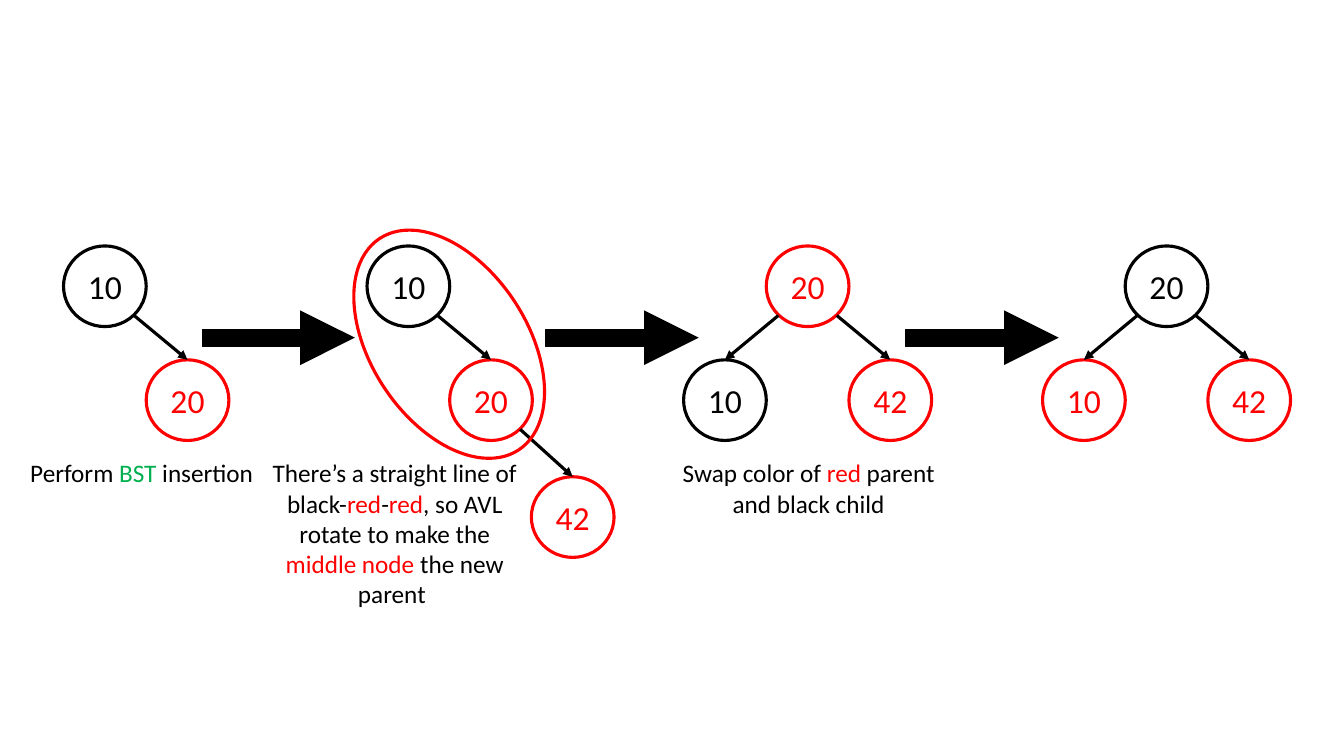
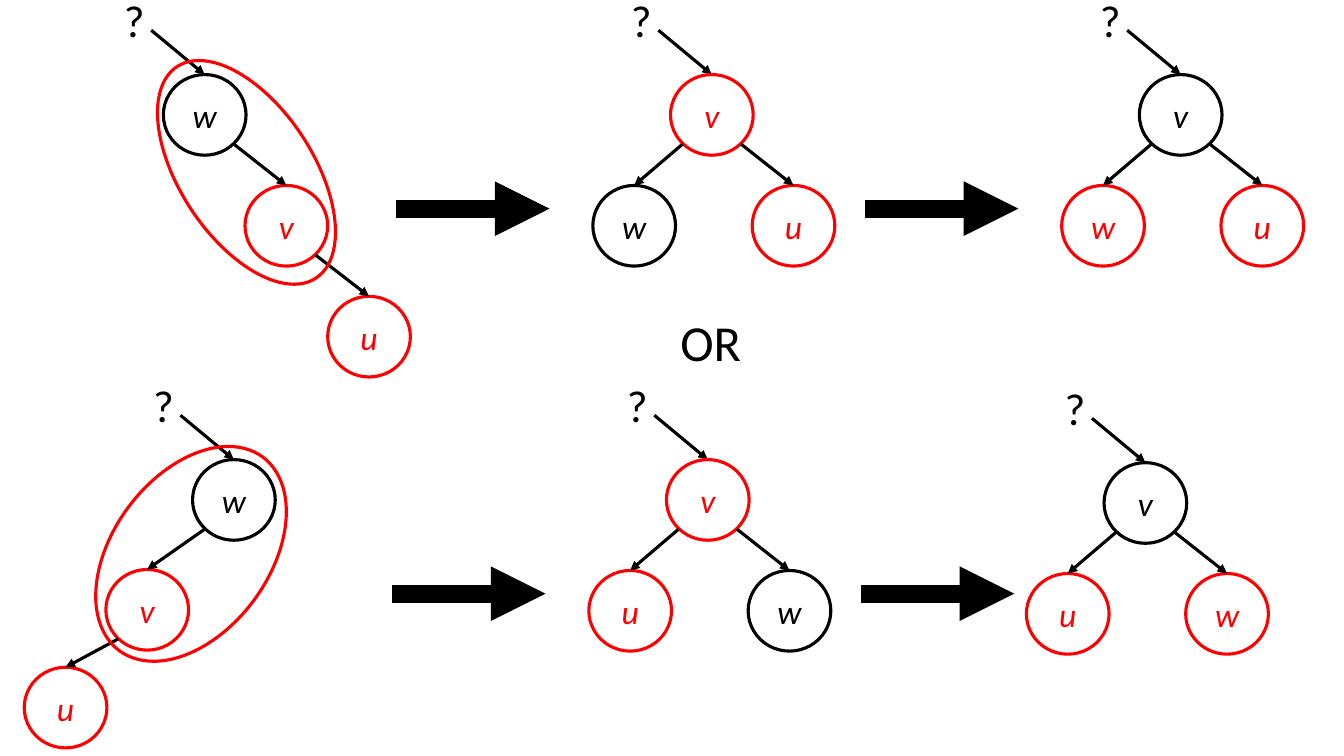
from lxml import etree
from pptx import Presentation
from pptx import util as u
from pptx.dml.color import RGBColor
from pptx.enum import shapes, text
from pptx.oxml import ns

BLACK = RGBColor(0x00, 0x00, 0x00)
RED = RGBColor(0xFF, 0x00, 0x00)
GREEN = RGBColor(0x00, 0xB0, 0x50)
FONT = "Calibri"

NODE_W, NODE_H = 0.82, 0.8
THIN, THICK = 2.25, 13
STEP_LENGTH = 1.52

# Offsets of the nodes below the root: (dx, dy) from the root's corner
NUMBER_CHAIN = [(0.82, 1.13), (1.63, 2.29)]
NUMBER_FORK = [(-0.82, 1.13), (0.82, 1.13)]
RIGHT_CHAIN = [(0.81, 1.1), (1.63, 2.2)]
LEFT_CHAIN = [(-0.86, 1.09), (-1.67, 2.06)]
LETTER_FORK = [(-0.77, 1.1), (0.81, 1.1)]


def add_run(paragraph, words, size, color, italic=False):
    run = paragraph.add_run()
    run.text = words
    run.font.name = FONT
    run.font.size = u.Pt(size)
    run.font.color.rgb = color
    if italic:
        run.font.italic = True


def add_text(slide, left, top, width, height, runs, size,
             align=text.PP_ALIGN.LEFT):
    """Place one wrapped paragraph of (words, colour) runs."""
    box = slide.shapes.add_textbox(
        *map(u.Inches, (left, top, width, height)))
    frame = box.text_frame
    frame.word_wrap = True
    frame.auto_size = text.MSO_AUTO_SIZE.SHAPE_TO_FIT_TEXT
    paragraph = frame.paragraphs[0]
    paragraph.alignment = align
    for words, color in runs:
        add_run(paragraph, words, size, color)


def add_ellipse(slide, left, top, width, height, color):
    ellipse = slide.shapes.add_shape(
        shapes.MSO_SHAPE.OVAL, *map(u.Inches, (left, top, width, height)))
    ellipse.shadow.inherit = False
    ellipse.fill.background()
    ellipse.line.color.rgb = color
    ellipse.line.width = u.Pt(THIN)
    return ellipse


def add_arrow(slide, x1, y1, x2, y2, weight=THIN):
    arrow = slide.shapes.add_connector(
        shapes.MSO_CONNECTOR.STRAIGHT, *map(u.Inches, (x1, y1, x2, y2)))
    arrow.line.color.rgb = BLACK
    arrow.line.width = u.Pt(weight)
    etree.SubElement(arrow.line._get_or_add_ln(), ns.qn("a:tailEnd"),
                     type="triangle")
    etree.SubElement(arrow._element.spPr, ns.qn("a:effectLst"))
    return arrow


def add_node(slide, left, top, label, color, italic):
    node = add_ellipse(slide, left, top, NODE_W, NODE_H, color)
    frame = node.text_frame
    frame.vertical_anchor = text.MSO_ANCHOR.MIDDLE
    paragraph = frame.paragraphs[0]
    paragraph.alignment = text.PP_ALIGN.CENTER
    add_run(paragraph, label, 24, color, italic)
    return node


def add_step(slide, left, y):
    """Block arrow leading to the next tree."""
    add_arrow(slide, left, y, left + STEP_LENGTH, y, THICK)


def add_highlight(slide, left, top, width, height, angle):
    add_ellipse(slide, left, top, width, height, RED).rotation = angle


def add_edge(slide, parent_left, parent_top, child, child_left, child_top):
    """Join the lower side of a parent to the top of its child."""
    start = 0.7 if child_left > parent_left else 0.12
    edge = add_arrow(slide, parent_left + start, parent_top + 0.69,
                     child_left + NODE_W / 2, child_top)
    edge.end_connect(child, 0)


def add_tree(slide, left, top, nodes, offsets, chain=False, italic=False):
    """Root at (left, top); a chain links each node to the one before."""
    add_node(slide, left, top, *nodes[0], italic)
    parent = left, top
    for (label, color), (dx, dy) in zip(nodes[1:], offsets):
        place = left + dx, top + dy
        child = add_node(slide, *place, label, color, italic)
        add_edge(slide, *parent, child, *place)
        if chain:
            parent = place


def add_subtree(slide, left, top, nodes, offsets, chain=False):
    """Tree of letters hanging from an unknown parent."""
    add_text(slide, left - 0.49, top - 0.86, 0.29, 0.64, [("?", BLACK)], 32)
    add_arrow(slide, left - 0.12, top - 0.44, left + NODE_W / 2, top)
    add_tree(slide, left, top, nodes, offsets, chain, italic=True)


def add_rotation_row(slide, top, chain_left, chain_offsets, step_left,
                     fork_left, last_left, last_top, low, high):
    """Chain, rotated tree and recoloured tree; low and high are leaves."""
    add_subtree(slide, chain_left, top,
                [("w", BLACK), ("v", RED), ("u", RED)], chain_offsets, True)
    colors = {"u": RED, "w": BLACK}
    add_subtree(slide, fork_left, top,
                [("v", RED), (low, colors[low]), (high, colors[high])],
                LETTER_FORK)
    add_subtree(slide, last_left, last_top,
                [("v", BLACK), (low, RED), (high, RED)], LETTER_FORK)
    for left in (step_left, step_left + 4.65):
        add_step(slide, left, top + 1.33)


def build_insertion_slide(slide):
    top, caption_top = 2.44, 4.49
    # Trees
    chain = [("10", BLACK), ("20", RED), ("42", RED)]
    add_tree(slide, 0.63, top, chain[:2], NUMBER_CHAIN, True)
    add_tree(slide, 3.64, top, chain, NUMBER_CHAIN, True)
    add_tree(slide, 7.6, top, [("20", RED), ("10", BLACK), ("42", RED)],
             NUMBER_FORK)
    add_tree(slide, 11.16, top, [("20", BLACK), ("10", RED), ("42", RED)],
             NUMBER_FORK)
    add_highlight(slide, 3.2, 2.64, 2.51, 1.55, 56.7)
    # Steps
    for left in (2, 5.41, 8.98):
        add_step(slide, left, 3.35)
    # Captions
    captions = [
        (0.1, 2.61, 0.4, [("Perform ", BLACK), ("BST", GREEN),
                          (" insertion", BLACK)]),
        (2.56, 2.71, 1.62, [("There’s a straight line of black-", BLACK),
                            ("red", RED), ("-", BLACK), ("red", RED),
                            (", so AVL rotate to make the ", BLACK),
                            ("middle node ", RED),
                            ("the new parent ", BLACK)]),
        (6.65, 2.74, 0.71, [("Swap color of ", BLACK), ("red", RED),
                            (" parent and black child", BLACK)]),
    ]
    for left, width, height, runs in captions:
        add_text(slide, left, caption_top, width, height, runs, 18,
                 text.PP_ALIGN.CENTER)


def build_general_slide(slide):
    # Chain leaning right
    add_rotation_row(slide, 0.74, 1.62, RIGHT_CHAIN, 3.93, 6.65,
                     11.3, 0.74, "w", "u")
    add_highlight(slide, 1.19, 1.05, 2.51, 1.32, 56.7)
    add_text(slide, 6.65, 3.04, 1.08, 0.71, [("OR", BLACK)], 36)
    # Chain leaning left
    add_rotation_row(slide, 4.56, 1.91, LEFT_CHAIN, 3.89, 6.61,
                     10.95, 4.59, "u", "w")
    add_highlight(slide, 0.7, 4.72, 2.39, 1.55, 306.5)


def main():
    deck = Presentation()
    deck.slide_width, deck.slide_height = u.Inches(13.33), u.Inches(7.5)
    blank = deck.slide_layouts[6]
    for build in (build_insertion_slide, build_general_slide):
        build(deck.slides.add_slide(blank))
    deck.save("out.pptx")


if __name__ == "__main__":
    main()
